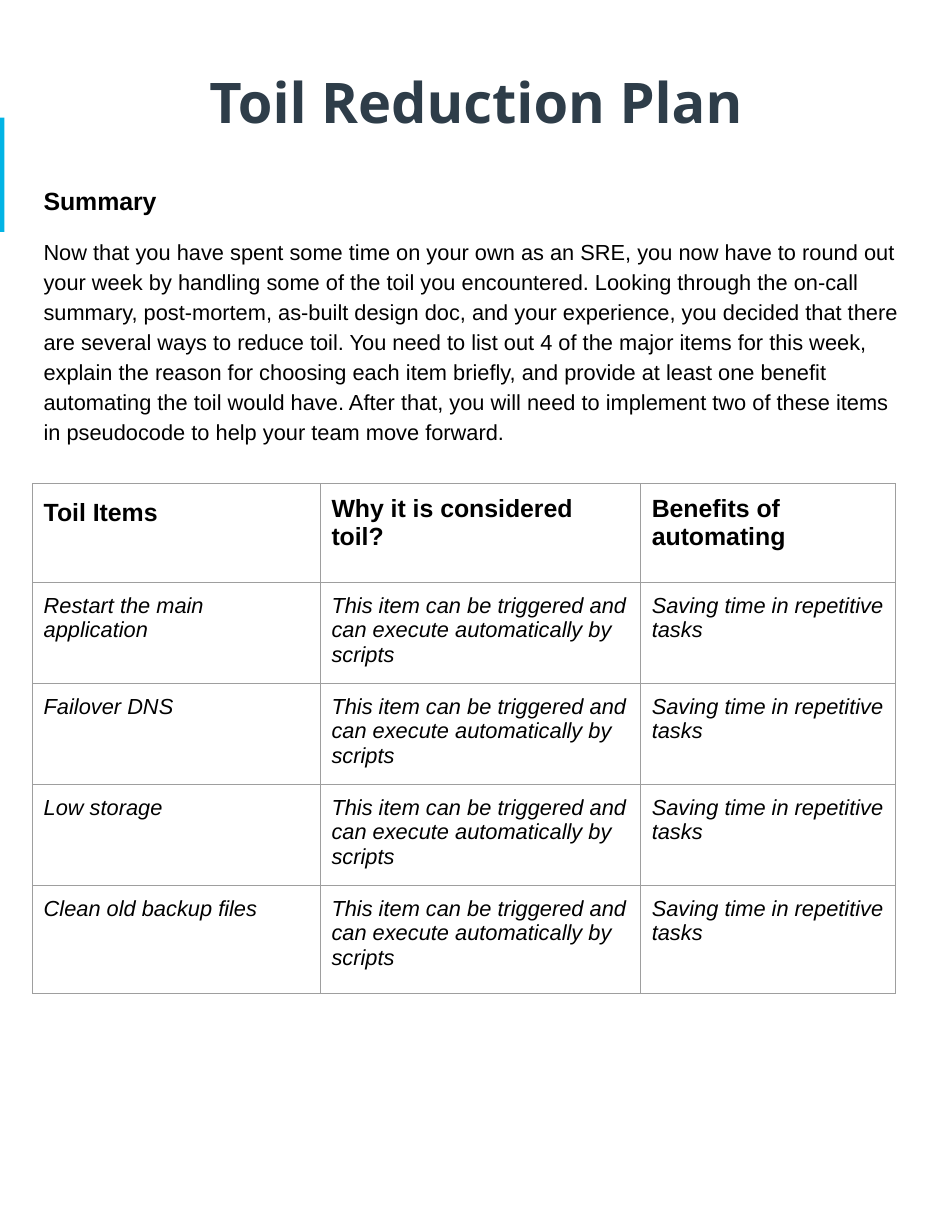
from dataclasses import dataclass

from lxml import etree
from pptx import Presentation
from pptx import util as u
from pptx.dml.color import RGBColor
from pptx.enum import shapes, text
from pptx.oxml.ns import qn


@dataclass(frozen=True)
class Theme:
    accent: str = "02B4E5"
    navy: str = "2E3D49"
    ink: str = "000000"
    grid: str = "9E9E9E"
    title_font: str = "Open Sans"
    body_font: str = "Arial"
    title_size: int = 36
    heading_size: int = 16
    body_size: int = 14
    border: float = 0.75
    inset: float = 0.1


THEME = Theme()
WIDTH, HEIGHT = 8.5, 11
LEFT, CONTENT_WIDTH = 0.29, 7.92
COLUMNS = (2.57, 2.86, 2.28)
ROWS = (0.88,) * 4 + (0.97,)

TITLE = dict(name=THEME.title_font, size=u.Pt(THEME.title_size), bold=True)
HEADING = dict(name=THEME.body_font, size=u.Pt(THEME.heading_size), bold=True)
BODY = dict(name=THEME.body_font, size=u.Pt(THEME.body_size), bold=False)
ENTRY = dict(BODY, italic=True)

SUMMARY = (
    "Now that you have spent some time on your own as an SRE, you now have to "
    "round out your week by handling some of the toil you encountered. Looking "
    "through the on-call summary, post-mortem, as-built design doc, and your "
    "experience, you decided that there are several ways to reduce toil. You "
    "need to list out 4 of the major items for this week, explain the reason "
    "for choosing each item briefly, and provide at least one benefit "
    "automating the toil would have. After that, you will need to implement "
    "two of these items in pseudocode to help your team move forward."
)
HEADERS = ("Toil Items", "Why it is considered toil?", "Benefits of automating")
TOIL_ITEMS = (
    ("Restart the main", "application"),
    ("Failover DNS",),
    ("Low storage",),
    ("Clean old backup files",),
)
REASON = ("This item can be triggered and can execute automatically by scripts",)
BENEFIT = ("Saving time in repetitive", "tasks")


def apply(target, values):
    for name, value in values.items():
        setattr(target, name, value)


def set_insets(target):
    sides = ("left", "top", "right", "bottom")
    apply(target, {f"margin_{side}": u.Inches(THEME.inset) for side in sides})


def write(para, words, font, color=THEME.ink, **layout):
    span = para.add_run()
    span.text = words
    apply(span.font, font)
    span.font.color.rgb = RGBColor.from_string(color)
    apply(para, layout)


def add_accent_bar(page):
    bar = page.shapes.add_shape(
        shapes.MSO_SHAPE.RECTANGLE, 0, u.Inches(1.05), u.Inches(0.04), u.Inches(1.02)
    )
    bar.shadow.inherit = False
    bar.fill.solid()
    bar.fill.fore_color.rgb = RGBColor.from_string(THEME.accent)
    bar.line.fill.background()


def set_title(page, words):
    title = page.shapes.title
    apply(title, dict(left=u.Inches(LEFT), top=u.Inches(LEFT),
                      width=u.Inches(CONTENT_WIDTH), height=u.Inches(1.22)))
    frame = title.text_frame
    set_insets(frame)
    apply(frame, dict(word_wrap=True, auto_size=text.MSO_AUTO_SIZE.NONE,
                      vertical_anchor=text.MSO_ANCHOR.MIDDLE))
    write(frame.paragraphs[0], words, TITLE, THEME.navy,
          alignment=text.PP_ALIGN.CENTER)


def add_summary(page):
    box = page.shapes.add_textbox(
        u.Inches(LEFT), u.Inches(1.52), u.Inches(CONTENT_WIDTH), u.Inches(2.67)
    )
    frame = box.text_frame
    frame.word_wrap = True
    set_insets(frame)
    write(frame.paragraphs[0], "Summary", HEADING,
          line_spacing=1.15, space_before=u.Pt(14))
    write(frame.add_paragraph(), SUMMARY, BODY,
          line_spacing=1.15, space_before=u.Pt(12))


def set_borders(cell):
    properties = cell._tc.get_or_add_tcPr()
    for index, side in enumerate(("lnL", "lnR", "lnT", "lnB")):
        line = etree.Element(qn(f"a:{side}"), w=str(u.Pt(THEME.border)))
        fill = etree.SubElement(line, qn("a:solidFill"))
        etree.SubElement(fill, qn("a:srgbClr"), val=THEME.grid)
        properties.insert(index, line)


def fill_cell(cell, lines, font, **layout):
    set_insets(cell)
    cell.fill.background()
    set_borders(cell)
    frame = cell.text_frame
    for index, words in enumerate(lines):
        para = frame.add_paragraph() if index else frame.paragraphs[0]
        write(para, words, font, **layout)


def add_toil_table(page):
    table = page.shapes.add_table(
        len(ROWS), len(COLUMNS), u.Inches(LEFT), u.Inches(4.32),
        u.Inches(sum(COLUMNS)), u.Inches(sum(ROWS)),
    ).table
    apply(table, dict(first_row=False, horz_banding=False))
    for column, width in zip(table.columns, COLUMNS):
        column.width = u.Inches(width)
    for row, height in zip(table.rows, ROWS):
        row.height = u.Inches(height)

    gap = u.Pt(12)
    for index, header in enumerate(HEADERS):
        layout = dict(space_after=gap) if index else dict(line_spacing=1.15)
        fill_cell(table.cell(0, index), (header,), HEADING,
                  space_before=gap, **layout)
    for row, item in enumerate(TOIL_ITEMS, start=1):
        for column, lines in enumerate((item, REASON, BENEFIT)):
            fill_cell(table.cell(row, column), lines, ENTRY)


def main():
    deck = Presentation()
    apply(deck, dict(slide_width=u.Inches(WIDTH), slide_height=u.Inches(HEIGHT)))
    page = deck.slides.add_slide(deck.slide_layouts.get_by_name("Title Only"))
    add_accent_bar(page)
    set_title(page, "Toil Reduction Plan")
    add_summary(page)
    add_toil_table(page)
    deck.save("out.pptx")


if __name__ == "__main__":
    main()
